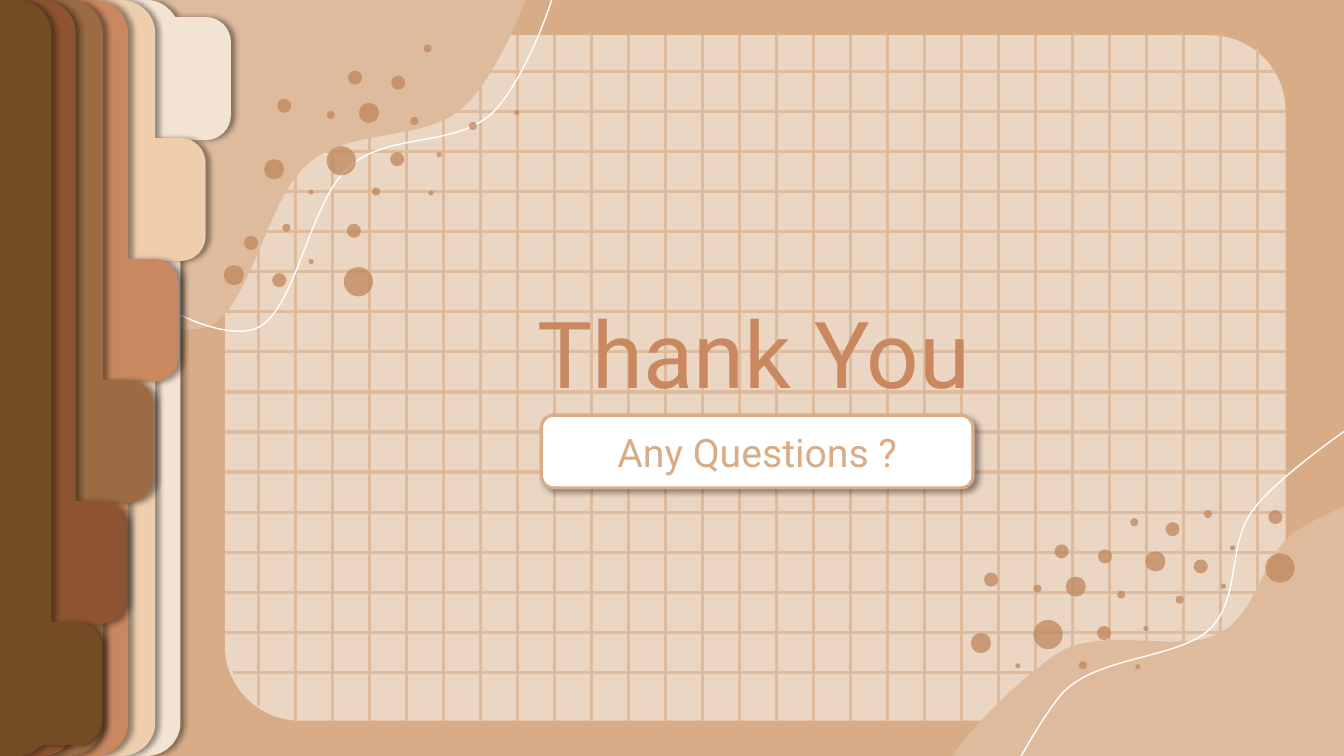
from dataclasses import dataclass

from lxml.etree import SubElement
from pptx import Presentation
from pptx.dml.color import RGBColor
from pptx.enum.shapes import MSO_CONNECTOR, MSO_SHAPE
from pptx.enum.text import MSO_ANCHOR, MSO_AUTO_SIZE, PP_ALIGN
from pptx.oxml import parse_xml
from pptx.oxml.ns import nsdecls, qn
from pptx.util import Inches, Pt


@dataclass(frozen=True)
class Theme:
    background: str = "D8AC87"
    sand: str = "DFBB9D"
    white: str = "FFFFFF"
    dot: str = "BD8357"
    title: str = "C98860"
    title_outline: str = "9B6B43"
    tabs: tuple = ("F3E3D3", "EFCEAD", "C98860", "9B6B43", "8E5331", "734C23")
    font: str = "Roboto"
    title_size: int = 66
    subtitle_size: int = 28


def style(shape, fill=None, alpha=100, line=None, width=1, shadow_angle=None):
    """Set fill, outline and an optional soft shadow (angle in degrees)."""
    shape.shadow.inherit = False
    if fill:
        shape.fill.solid()
        shape.fill.fore_color.rgb = RGBColor.from_string(fill)
        if alpha < 100:
            color = shape.element.spPr.find(qn("a:solidFill"))[0]
            SubElement(color, qn("a:alpha"), val=str(alpha * 1000))
    else:
        shape.fill.background()
    if line:
        shape.line.color.rgb = RGBColor.from_string(line)
        shape.line.width = Pt(width)
    else:
        shape.line.fill.background()
    if shadow_angle is not None:
        effects = shape.element.spPr.find(qn("a:effectLst"))
        effects.append(parse_xml(
            f'<a:outerShdw {nsdecls("a")} blurRad="{Pt(4)}" dist="{Pt(3)}" '
            f'dir="{shadow_angle * 60000}" algn="tl" rotWithShape="0">'
            '<a:srgbClr val="000000"><a:alpha val="40000"/></a:srgbClr></a:outerShdw>'))


def add_outline(shapes, start, segments):
    """Add a closed freeform; a segment is one point (line) or three (Bezier curve)."""
    builder = shapes.build_freeform(Inches(start[0]), Inches(start[1]))
    builder.add_line_segments([(Inches(x), Inches(y)) for segment in segments
                               for x, y in segment], close=True)
    shape = builder.convert_to_shape()
    strokes = iter(list(shape.element.spPr.iter(qn("a:lnTo"))))
    for segment in segments:
        first, *others = [next(strokes) for _ in segment]
        if others:
            first.tag = qn("a:cubicBezTo")
        for stroke in others:
            first.append(stroke[0])
            stroke.getparent().remove(stroke)
    return shape


theme = Theme()
deck = Presentation()
deck.slide_width, deck.slide_height = Inches(13.33), Inches(7.5)
page = deck.slides.add_slide(deck.slide_layouts[5])
page.background.fill.solid()
page.background.fill.fore_color.rgb = RGBColor.from_string(theme.background)
shapes = page.shapes

# Rounded panel with its grid
left, top, right, bottom = 2.23, 0.35, 12.75, 7.15
grid = shapes.add_group_shape()
panel = grid.shapes.add_shape(MSO_SHAPE.ROUNDED_RECTANGLE, Inches(left), Inches(top),
                              Inches(right - left), Inches(bottom - top))
panel.adjustments[0] = 0.11
style(panel, theme.white, alpha=50)

columns, rows = 28, 16
column_ends = {0: (0.4, 7), columns - 1: (0.49, 7.04)}
row_ends = {0: (2.36, 12.65), rows - 1: (2.31, 12.71)}
grid_lines = []
for column in range(columns):
    x = 2.56 + column * (12.47 - 2.56) / (columns - 1)
    start, end = column_ends.get(column, (top, bottom))
    grid_lines.append((x, start, x, end))
for row in range(rows):
    y = 0.71 + row * (6.67 - 0.71) / (rows - 1)
    start, end = row_ends.get(row, (left, right))
    grid_lines.append((end, y, start, y))
for ends in grid_lines:
    rule = grid.shapes.add_connector(MSO_CONNECTOR.STRAIGHT, *map(Inches, ends))
    rule.line.color.rgb = RGBColor.from_string(theme.sand)
    rule.line.width = Pt(2.25)
    SubElement(rule.element.spPr, qn("a:effectLst"))

# Corner waves: a start point, then two handles and an end point per curve
waves = [
    (theme.sand, None, [
        (9.46, 8.12), (8.85, 7.88), (10.02, 6.81), (10.46, 6.5), (10.9, 6.19), (11.69, 6.49),
        (12.08, 6.29), (12.48, 6.09), (12.49, 5.55), (12.83, 5.29), (13.17, 5.03), (14.12, 4.75),
        (14.12, 4.75), (14.12, 5.29), (14.9, 7.44), (14.12, 8), (13.35, 8.56), (10.07, 8.38),
        (9.46, 8.12)]),
    (None, theme.white, [
        (10.03, 8.77), (9.37, 8.71), (10.18, 7.34), (10.5, 6.92), (10.83, 6.5), (11.68, 6.55),
        (12, 6.24), (12.31, 5.93), (12.17, 5.41), (12.42, 5.07), (12.67, 4.72), (13.49, 4.17),
        (13.49, 4.17), (13.65, 4.68), (15.02, 6.51), (14.45, 7.27), (13.88, 8.04), (10.69, 8.83),
        (10.03, 8.77)]),
    (theme.sand, None, [
        (3.06, 1.62), (3.5, 1.24), (4.27, 1.44), (4.66, 1), (5.05, 0.56), (5.49, -0.53),
        (5.4, -1.01), (5.32, -1.5), (4.7, -1.82), (4.14, -1.91), (3.58, -2.01), (2.61, -1.86),
        (2.04, -1.58), (1.47, -1.29), (0.97, -0.87), (0.7, -0.22), (0.42, 0.43), (0.18, 1.75),
        (0.4, 2.33), (0.62, 2.91), (1.58, 3.37), (2.03, 3.25), (2.48, 3.13), (2.62, 1.99),
        (3.06, 1.62)]),
    (None, theme.white, [
        (3.46, 1.66), (3.86, 1.29), (4.58, 1.49), (4.94, 1.06), (5.3, 0.63), (5.7, -0.45),
        (5.61, -0.93), (5.52, -1.42), (4.94, -1.75), (4.42, -1.85), (3.89, -1.95), (2.98, -1.82),
        (2.45, -1.54), (1.92, -1.27), (1.46, -0.86), (1.21, -0.21), (0.97, 0.43), (0.75, 1.75),
        (0.97, 2.33), (1.19, 2.91), (2.09, 3.38), (2.51, 3.27), (2.93, 3.15), (3.05, 2.02),
        (3.46, 1.66)]),
]
for fill, line, knots in waves:
    curves = [knots[first:first + 3] for first in range(1, len(knots), 3)]
    style(add_outline(shapes, knots[0], curves), fill, line=line)

# Title and subtitle
title = shapes.title
shapes.element.append(title.element)
title.left, title.top, title.width, title.height = map(Inches, (3.23, 2.89, 8.5, 1.21))
subtitle = shapes.add_shape(MSO_SHAPE.ROUNDED_RECTANGLE, Inches(5.37), Inches(4.12),
                            Inches(4.28), Inches(0.72))
style(subtitle, theme.white, line=theme.background, width=2.25, shadow_angle=45)
for box, text, size, color, anchor in (
        (title, "Thank You", theme.title_size, theme.title, MSO_ANCHOR.TOP),
        (subtitle, "Any Questions ?", theme.subtitle_size, theme.background, MSO_ANCHOR.MIDDLE)):
    frame = box.text_frame
    frame.text = text
    frame.word_wrap = True
    frame.vertical_anchor = anchor
    para = frame.paragraphs[0]
    para.alignment = PP_ALIGN.CENTER
    span = para.runs[0]
    span.font.name = theme.font
    span.font.size = Pt(size)
    span.font.color.rgb = RGBColor.from_string(color)
title.text_frame.auto_size = MSO_AUTO_SIZE.SHAPE_TO_FIT_TEXT
title_run = title.text_frame.paragraphs[0].runs[0]
title_run._r.get_or_add_rPr().insert(0, parse_xml(
    f'<a:ln {nsdecls("a")} w="{Pt(2.25)}"><a:solidFill>'
    f'<a:srgbClr val="{theme.title_outline}"/></a:solidFill></a:ln>'))

# Two sprays of dots (left, top, diameter), each placed in both corners
wide_spray = [
    (3.45, 0.7, 0.14), (3.56, 1.02, 0.2), (3.88, 0.75, 0.14), (3.24, 1.1, 0.08),
    (3.24, 1.45, 0.29), (3.87, 1.51, 0.14), (3.69, 1.86, 0.08), (2.75, 0.98, 0.14),
    (4.07, 1.16, 0.08), (4.33, 1.51, 0.05), (3.06, 1.88, 0.05), (4.25, 1.89, 0.05),
    (2.62, 1.58, 0.2), (5.1, 1.09, 0.05), (4.2, 0.44, 0.08), (4.65, 1.21, 0.08)]
small_spray = [
    (2.8, 2.22, 0.08), (3.06, 2.57, 0.05), (3.44, 2.22, 0.14), (2.22, 2.63, 0.2),
    (2.42, 2.34, 0.14), (3.41, 2.65, 0.29), (2.7, 2.71, 0.14)]
for spray, shift_x, shift_y in ((wide_spray, 7.01, 4.7), (small_spray, 9.14, 2.84),
                                (wide_spray, 0, 0), (small_spray, 0, 0)):
    for x, y, size in spray:
        dot = shapes.add_shape(MSO_SHAPE.OVAL, Inches(x + shift_x), Inches(y + shift_y),
                               Inches(size), Inches(size))
        style(dot, theme.dot, alpha=71)

# Stacked notebook dividers, each with a tab one step lower
spines = (1.79, 1.54, 1.27, 1.02, 0.75, 0.51)
for index, (spine, color) in enumerate(zip(spines, theme.tabs)):
    tab_top = 0.17 + 1.2 * index
    tab_bottom = tab_top + 1.22
    tab_right = spine + 0.5
    upper_corner = [(spine - 0.15, 0), (spine, 0.15), (spine, 0.33)]
    lower_start = (spine, 7.17)
    lower_corner = [(spine, 7.35), (spine - 0.15, 7.5), (spine - 0.34, 7.5)]
    if tab_top < 0.33:
        upper_corner = [(spine - 0.22, 0), (spine - 0.12, 0.06), (spine - 0.05, tab_top)]
    if tab_bottom > 7.17:
        lower_start = (spine - 0.09, tab_bottom)
        lower_corner = [(spine - 0.16, 7.46), (spine - 0.24, 7.5), (spine - 0.34, 7.5)]
    divider = add_outline(shapes, (0, 0), [
        [(spine - 0.34, 0)],
        upper_corner,
        [(upper_corner[-1][0], tab_top)],
        [(spine + 0.25, tab_top)],
        [(tab_right - 0.11, tab_top), (tab_right, tab_top + 0.11), (tab_right, tab_top + 0.25)],
        [(tab_right, tab_bottom - 0.25)],
        [(tab_right, tab_bottom - 0.11), (tab_right - 0.11, tab_bottom),
         (spine + 0.25, tab_bottom)],
        [(lower_start[0], tab_bottom)],
        [lower_start],
        lower_corner,
        [(0, 7.5)]])
    style(divider, color, shadow_angle=0)

deck.save("out.pptx")
